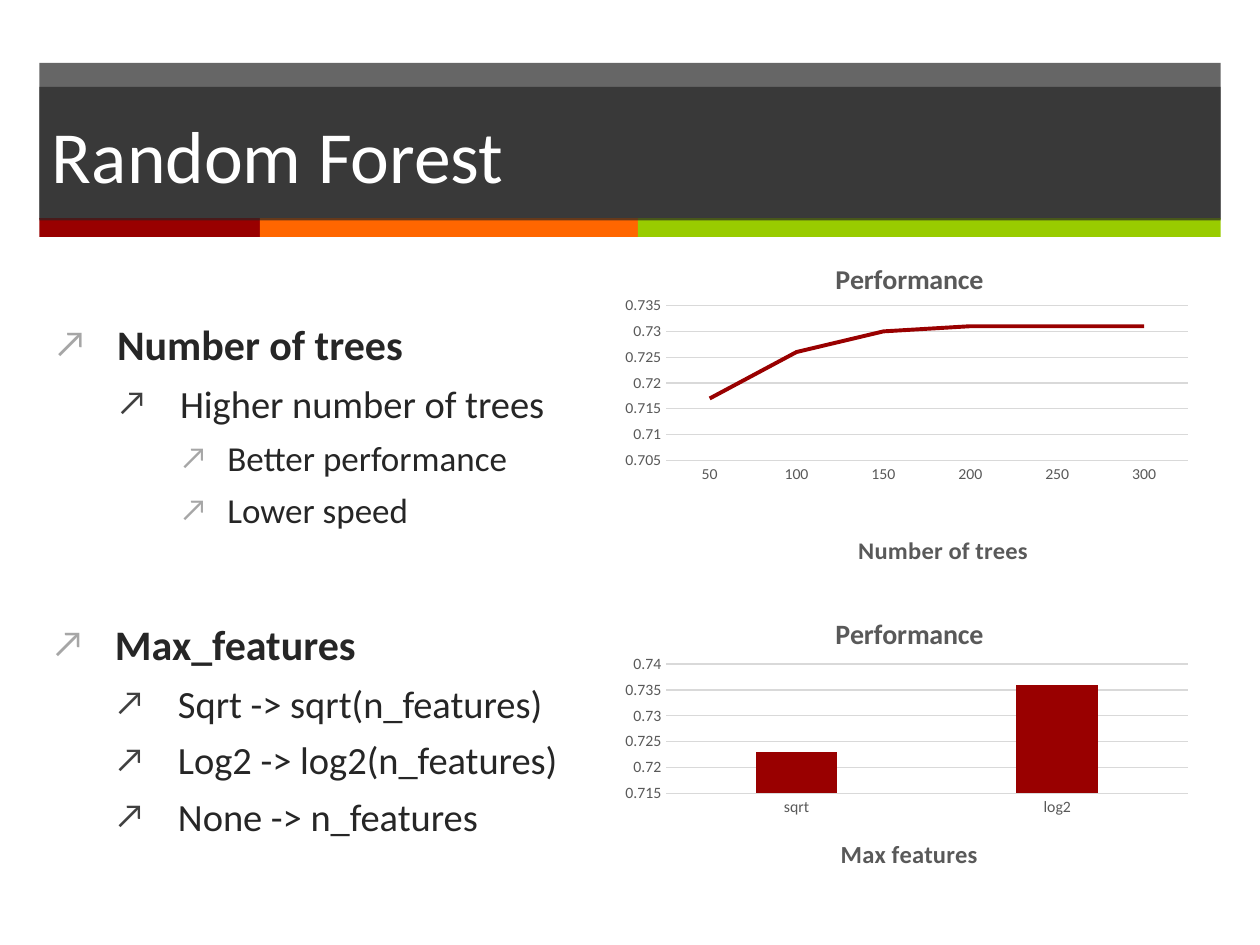
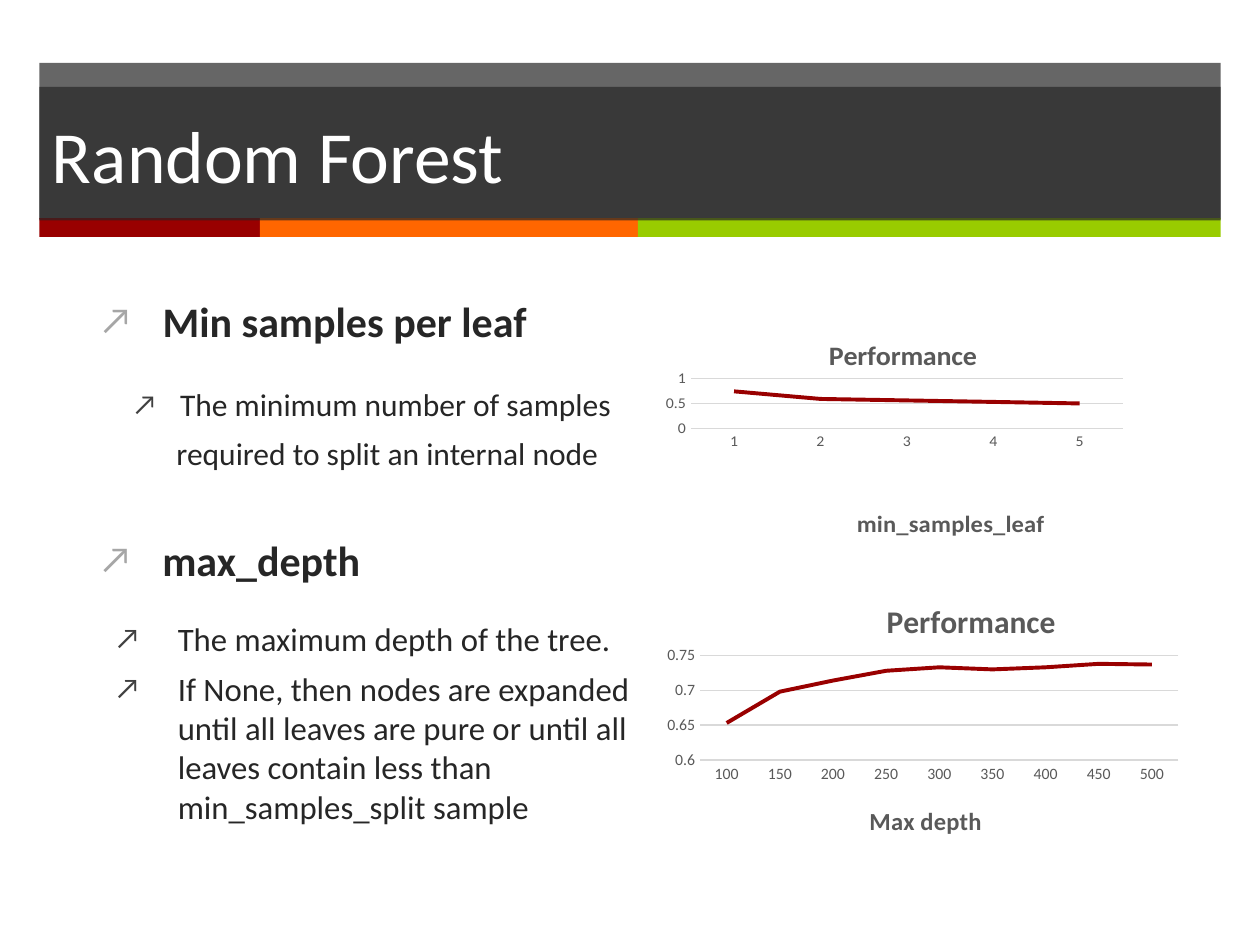
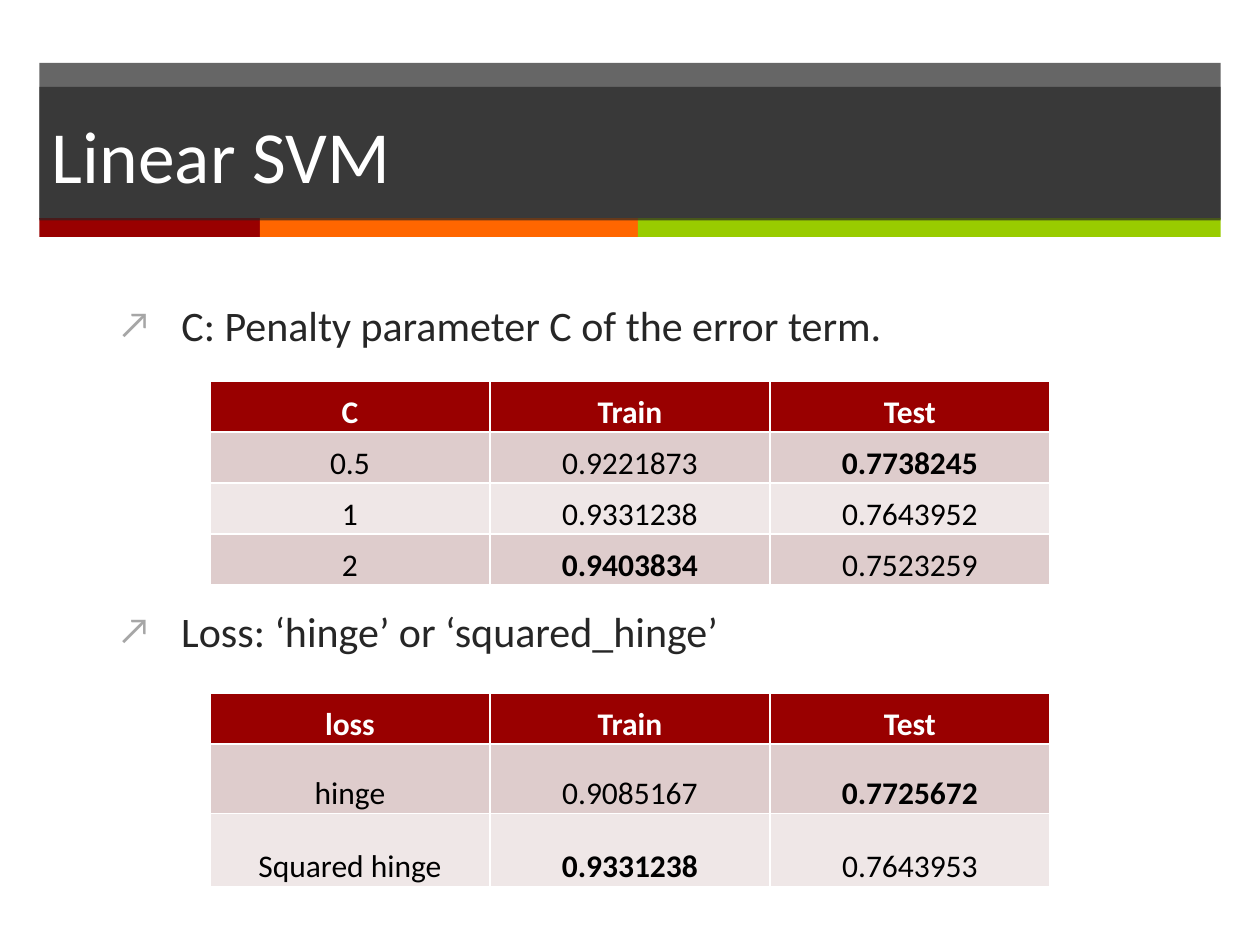
from pptx import Presentation
from pptx.chart.data import CategoryChartData
from pptx.dml.color import RGBColor
from pptx.enum.chart import XL_CHART_TYPE, XL_TICK_MARK
from pptx.enum.shapes import MSO_SHAPE
from pptx.enum.text import MSO_ANCHOR, MSO_AUTO_SIZE, PP_ALIGN
from pptx.oxml.ns import qn
from pptx.util import Pt
from lxml.etree import SubElement

FONT = "Calibri"
COLORS = {
    "band": "262626", "red": "990000", "orange": "FF6600", "green": "99CC00",
    "white": "FFFFFF", "black": "000000", "text": "262626",
    "light_bullet": "A6A6A6", "dark_bullet": "404040",
    "chart_text": "595959", "grid": "D9D9D9",
    "odd_row": "DECCCC", "even_row": "EFE7E7",
}
BAND_LEFT, BAND_WIDTH = 22.5, 675
STRIPES = [("red", 126), ("orange", 216), ("green", 333)]
# list level: left margin, hanging indent, space before, bullet colour
LEVELS = {
    0: (36, 36, 20, "light_bullet"),
    1: (72, 36, 6, "dark_bullet"),
    2: (99, 27, 6, "light_bullet"),
    3: (126, 27, 6, "dark_bullet"),
}
TABLE_LEFT, COLUMN_WIDTH, HEADER_HEIGHT = 120, 160, 29.16


def color(name):
    return RGBColor.from_string(COLORS[name])


def points(box):
    return [Pt(value) for value in box]


def place(shape, box):
    shape.left, shape.top, shape.width, shape.height = points(box)


def style_font(font, size, color_name, bold=False):
    font.name, font.size, font.bold = FONT, Pt(size), bold
    font.color.rgb = color(color_name)


def add_run(paragraph, text, size, color_name, bold=False):
    run = paragraph.add_run()
    run.text = text
    style_font(run.font, size, color_name, bold)


def fill_solid(shape, color_name, opacity=100):
    shape.fill.solid()
    shape.fill.fore_color.rgb = color(color_name)
    if opacity < 100:
        solid = shape.element.spPr.find(qn("a:solidFill"))
        SubElement(solid[0], qn("a:alpha"), val=str(opacity * 1000))


def add_master_bands(presentation, slide):
    """Draw the title band and stripes, then move them to the master."""
    bands = [((BAND_LEFT, 36, BAND_WIDTH, 89.3), "band", 70)]
    left = BAND_LEFT
    for color_name, width in STRIPES:
        bands.append(((left, 124.6, width, 10.8), color_name, 100))
        left += width
    master_tree = presentation.slide_master.shapes.element
    for shape_id, (box, color_name, opacity) in enumerate(bands, 101):
        band = slide.shapes.add_shape(MSO_SHAPE.RECTANGLE, *points(box))
        band.shadow.inherit = False
        band.line.fill.background()
        fill_solid(band, color_name, opacity)
        band.element.nvSpPr.cNvPr.id = shape_id
        master_tree.append(band.element)


def add_titled_slide(presentation, heading):
    slide = presentation.slides.add_slide(presentation.slide_layouts[1])
    title = slide.shapes.title
    place(title, (BAND_LEFT, 49.7, BAND_WIDTH, 76.3))
    fill_solid(title, "band", 70)
    frame = title.text_frame
    frame.auto_size = MSO_AUTO_SIZE.NONE
    frame.vertical_anchor = MSO_ANCHOR.MIDDLE
    frame.paragraphs[0].alignment = PP_ALIGN.LEFT
    add_run(frame.paragraphs[0], heading, 42, "white")
    return slide


def format_item(paragraph, level, bulleted):
    margin, hanging, space, bullet_color = LEVELS[level]
    paragraph.level = level
    paragraph.alignment = PP_ALIGN.LEFT
    paragraph.space_before = Pt(space)
    properties = paragraph._p.get_or_add_pPr()
    if not bulleted:
        properties.set("marL", str(Pt(margin - 2)))
        properties.set("indent", "0")
        SubElement(properties, qn("a:buNone"))
        return
    properties.set("marL", str(Pt(margin)))
    properties.set("indent", str(-Pt(hanging)))
    bullet = SubElement(properties, qn("a:buClr"))
    SubElement(bullet, qn("a:srgbClr"), val=COLORS[bullet_color])
    SubElement(properties, qn("a:buSzPct"), val="90000")
    SubElement(properties, qn("a:buFont"), typeface=FONT)
    SubElement(properties, qn("a:buChar"), char="↗")


def fill_list(holder, items):
    """Each item is level, text, size, then optionally bold and bulleted."""
    frame = holder.text_frame
    frame.word_wrap = True
    frame.auto_size = MSO_AUTO_SIZE.NONE
    for index, (level, text, size, *options) in enumerate(items):
        bold, bulleted = (*options, *(False, True)[len(options):])
        paragraph = frame.add_paragraph() if index else frame.paragraphs[0]
        format_item(paragraph, level, bulleted)
        add_run(paragraph, text, size, "text", bold)


def fill_body(slide, box, items):
    body = slide.placeholders[1]
    place(body, box)
    fill_list(body, items)


def add_list(slide, box, items):
    fill_list(slide.shapes.add_textbox(*points(box)), items)


def set_layout(parent, **fractions):
    """Fix a chart part at fractions of the chart's width and height."""
    for automatic in parent.findall(qn("c:layout")):
        parent.remove(automatic)
    layout = SubElement(parent, qn("c:layout"))
    parent.insert(0 if parent.find(qn("c:tx")) is None else 1, layout)
    manual = SubElement(layout, qn("c:manualLayout"))
    if "w" in fractions:
        SubElement(manual, qn("c:layoutTarget"), val="inner")
    for side in "xy":
        SubElement(manual, qn(f"c:{side}Mode"), val="edge")
    for side, fraction in fractions.items():
        SubElement(manual, qn(f"c:{side}"), val=str(fraction))


def set_chart_title(title, text, size, position):
    add_run(title.text_frame.paragraphs[0], text, size, "chart_text", True)
    set_layout(title.element, x=position[0], y=position[1])


def style_axis(axis):
    axis.major_tick_mark = axis.minor_tick_mark = XL_TICK_MARK.NONE
    style_font(axis.tick_labels.font, 9, "chart_text")


def style_line(line, color_name, width):
    line.color.rgb = color(color_name)
    line.width = Pt(width)


def add_performance_chart(slide, kind, box, values, scale, parameter, plot_box,
                          title_at, parameter_at, title_size=16):
    """Chart a dict of performance by parameter; scale is min, max, step."""
    data = CategoryChartData()
    data.categories = list(values)
    data.add_series("Series 1", list(values.values()))
    chart = slide.shapes.add_chart(kind, *points(box), data).chart
    style_font(chart.font, 10, "black")
    chart.has_legend = False
    chart.has_title = True
    set_chart_title(chart.chart_title, "Performance", title_size, title_at)
    set_layout(chart.element.find(".//" + qn("c:plotArea")),
               **dict(zip("xywh", plot_box)))

    category_axis, value_axis = chart.category_axis, chart.value_axis
    style_axis(category_axis)
    style_line(category_axis.format.line, "grid", 0.75)
    set_chart_title(category_axis.axis_title, parameter, 14, parameter_at)
    style_axis(value_axis)
    value_axis.format.line.fill.background()
    style_line(value_axis.major_gridlines.format.line, "grid", 0.75)
    value_axis.tick_labels.number_format = "General"
    value_axis.tick_labels.number_format_is_linked = False
    value_axis.minimum_scale, value_axis.maximum_scale, value_axis.major_unit = scale

    plot = chart.plots[0]
    plot.vary_by_categories = False
    performance = plot.series[0]
    if kind == XL_CHART_TYPE.LINE:
        performance.smooth = False
        style_line(performance.format.line, "red", 2.25)
    else:
        plot.gap_width, plot.overlap = 219, -27
        performance.format.fill.solid()
        performance.format.fill.fore_color.rgb = color("red")


def add_score_table(slide, top, row_heights, rows):
    """Add a table whose best score in each score column is bold."""
    heights = [HEADER_HEIGHT, *row_heights]
    columns = len(rows[0])
    box = (TABLE_LEFT, top, columns * COLUMN_WIDTH, sum(heights))
    table = slide.shapes.add_table(len(rows), columns, *points(box)).table
    best = [None] + [max(column) for column in list(zip(*rows[1:]))[1:]]
    for column in table.columns:
        column.width = Pt(COLUMN_WIDTH)
    for r, (texts, height) in enumerate(zip(rows, heights)):
        table.rows[r].height = Pt(height)
        row_fill = "red" if r == 0 else "odd_row" if r % 2 else "even_row"
        for c, text in enumerate(texts):
            cell = table.cell(r, c)
            cell.fill.solid()
            cell.fill.fore_color.rgb = color(row_fill)
            cell.vertical_anchor = MSO_ANCHOR.BOTTOM
            cell.margin_left = cell.margin_top = cell.margin_right = Pt(0.75)
            cell.margin_bottom = 0
            paragraph = cell.text_frame.paragraphs[0]
            paragraph.alignment = PP_ALIGN.CENTER
            add_run(paragraph, text, 18, "black" if r else "white",
                    r == 0 or text == best[c])


def build_trees_and_features(slide):
    fill_body(slide, (22.5, 350, 352, 124.5), [
        (0, "Max_features", 24, True),
        (1, "Sqrt -> sqrt(n_features)", 22),
        (1, "Log2 -> log2(n_features)", 22),
        (1, "None -> n_features", 22),
    ])
    add_performance_chart(
        slide, XL_CHART_TYPE.LINE, (350.6, 133.2, 334.8, 194.4),
        {"50": 0.717, "100": 0.726, "150": 0.73,
         "200": 0.731, "250": 0.731, "300": 0.731},
        (0.705, 0.735, 0.005), "Number of trees",
        (0.09, 0.22, 0.89, 0.47), (0.37, 0.07), (0.41, 0.9))
    add_performance_chart(
        slide, XL_CHART_TYPE.COLUMN_CLUSTERED, (350.6, 334.8, 334.8, 172),
        {"sqrt": 0.723, "log2": 0.736},
        (0.715, 0.74, 0.005), "Max features",
        (0.09, 0.26, 0.89, 0.43), (0.37, 0.08), (0.38, 0.82))
    add_list(slide, (23.8, 178.6, 352, 124.5), [
        (0, "Number of trees", 24, True),
        (1, "Higher number of trees", 22),
        (2, "Better performance", 20),
        (2, "Lower speed", 20),
    ])


def build_leaf_and_depth(slide):
    fill_body(slide, (49.7, 165, 279.4, 39), [(0, "Min samples per leaf", 24, True)])
    add_performance_chart(
        slide, XL_CHART_TYPE.LINE, (375.8, 180, 271.4, 131.8),
        {"1": 0.74, "2": 0.59, "3": 0.56, "4": 0.53, "5": 0.5},
        (0, 1, 0.5), "min_samples_leaf",
        (0.07, 0.29, 0.91, 0.23), (0.35, 0.08), (0.41, 0.86))
    add_performance_chart(
        slide, XL_CHART_TYPE.LINE, (375.8, 326.2, 303.8, 161.3),
        {"100": 0.653, "150": 0.698, "200": 0.714, "250": 0.728, "300": 0.733,
         "350": 0.73, "400": 0.733, "450": 0.738, "500": 0.737},
        (0.6, 0.75, 0.05), "Max depth",
        (0.08, 0.3, 0.9, 0.37), (0.42, 0.08), (0.39, 0.81), title_size=18)
    add_list(slide, (49.7, 301.7, 234.7, 44.6), [(0, "max_depth", 24, True)])
    add_list(slide, (-30.2, 216.7, 398.9, 95), [
        (3, "The minimum number of samples", 18),
        (3, "required to split an internal node", 18, False, False),
    ])
    add_list(slide, (22.5, 350, 353.5, 116.6), [
        (1, "The maximum depth of the tree.", 18.7),
        (1, "If None, then nodes are expanded until all leaves are pure or until "
            "all leaves contain less than min_samples_split sample", 18.7),
    ])


def build_svm(slide):
    fill_body(slide, (60.5, 167.8, 557.3, 45.4),
              [(0, "C: Penalty parameter C of the error term.", 24)])
    add_score_table(slide, 396, [39.6, 41.8], [
        ("loss", "Train", "Test"),
        ("hinge", "0.9085167", "0.7725672"),
        ("Squared hinge", "0.9331238", "0.7643953"),
    ])
    add_score_table(slide, 217.6, [HEADER_HEIGHT] * 3, [
        ("C", "Train", "Test"),
        ("0.5", "0.9221873", "0.7738245"),
        ("1", "0.9331238", "0.7643952"),
        ("2", "0.9403834", "0.7523259"),
    ])
    add_list(slide, (60.5, 342.7, 557.3, 45.4),
             [(0, "Loss: ‘hinge’ or ‘squared_hinge’", 24)])


def main():
    presentation = Presentation()
    presentation.slide_width, presentation.slide_height = Pt(720), Pt(540)
    forest = add_titled_slide(presentation, "Random Forest")
    add_master_bands(presentation, forest)
    build_trees_and_features(forest)
    build_leaf_and_depth(add_titled_slide(presentation, "Random Forest"))
    build_svm(add_titled_slide(presentation, "Linear SVM"))
    presentation.save("out.pptx")


if __name__ == "__main__":
    main()
